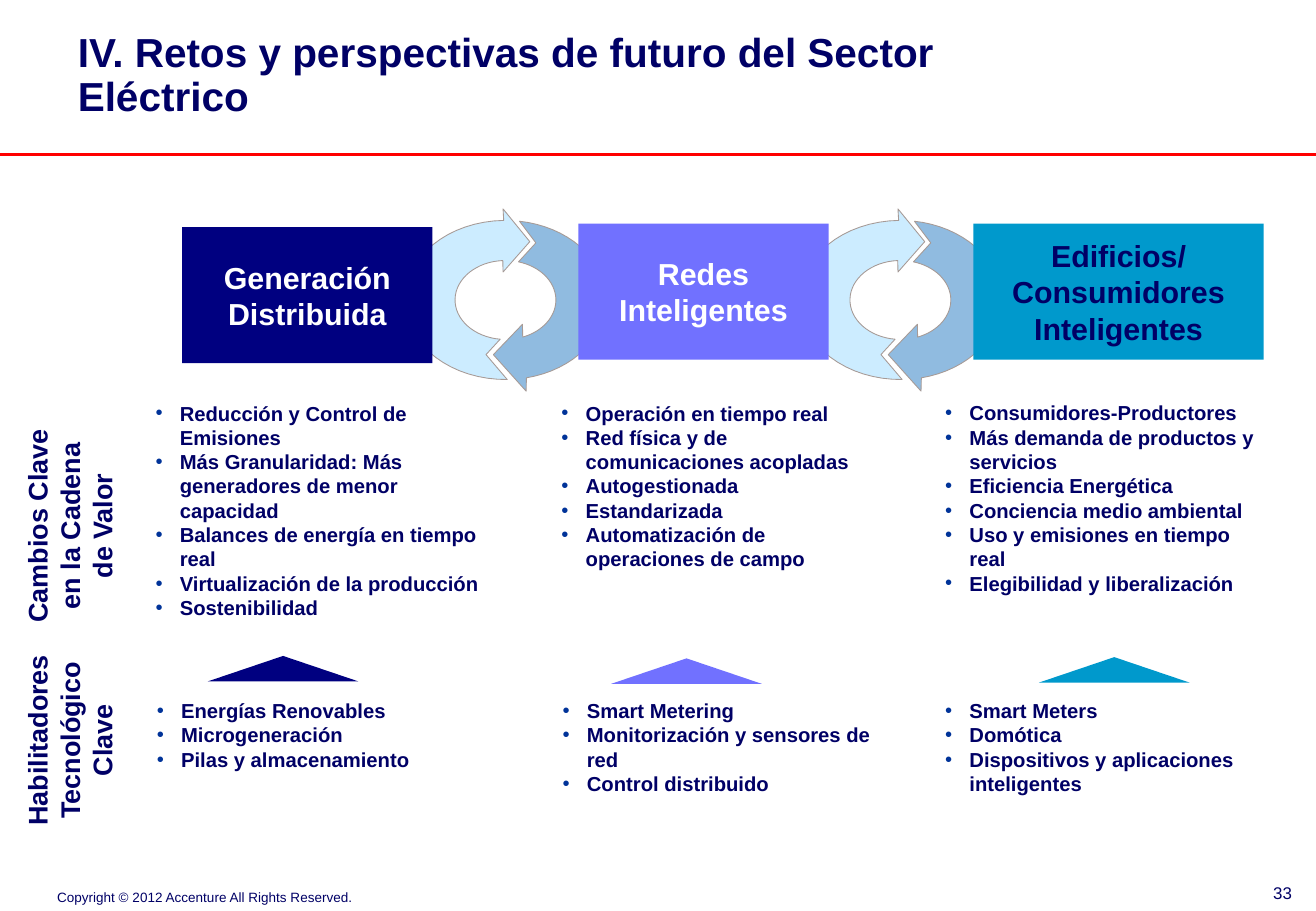
from dataclasses import dataclass
from math import cos, radians, sin

from lxml.etree import SubElement
from pptx import Presentation
from pptx.dml.color import RGBColor
from pptx.enum.shapes import MSO_CONNECTOR, MSO_SHAPE
from pptx.enum.text import MSO_ANCHOR, MSO_AUTO_SIZE, PP_ALIGN
from pptx.oxml.ns import qn
from pptx.util import Emu, Pt

PX = 9144
NAVY = "000066"
WHITE = "FFFFFF"
CYCLE_PITCH = 325
CENTER = (416, 247)
OUTER = (83, 65.5)
INNER = (41.5, 32.5)

Box = tuple[int, int, int, int]
Point = tuple[float, float]


@dataclass
class Stage:
    heading: str
    heading_box: Box
    fill: str
    ink: str
    changes: list[str]
    changes_box: Box
    pointer_at: tuple[int, int]
    enablers: list[str]
    enablers_box: Box


@dataclass
class RowLabel:
    text: str
    box: Box


STAGES = [
    Stage("Generación\nDistribuida", (150, 187, 206, 112), "000080", WHITE,
          ["Reducción y Control de Emisiones",
           "Más Granularidad: Más generadores de menor capacidad",
           "Balances de energía en tiempo real",
           "Virtualización de la producción",
           "Sostenibilidad"],
          (118, 325, 305, 212), (171, 540),
          ["Energías Renovables", "Microgeneración", "Pilas y almacenamiento"],
          (119, 570, 294, 111)),
    Stage("Redes Inteligentes", (476, 184, 206, 112), "7171FF", WHITE,
          ["Operación en tiempo real",
           "Red física y de comunicaciones acopladas",
           "Autogestionada",
           "Estandarizada",
           "Automatización de operaciones de campo"],
          (452, 325, 276, 192), (503, 542),
          ["Smart Metering", "Monitorización y sensores de red", "Control distribuido"],
          (453, 570, 276, 131)),
    Stage("Edificios/ Consumidores Inteligentes", (801, 184, 239, 112), "0099CC", NAVY,
          ["Consumidores-Productores",
           "Más demanda de productos y servicios",
           "Eficiencia Energética",
           "Conciencia medio ambiental",
           "Uso y emisiones en tiempo real",
           "Elegibilidad y liberalización"],
          (768, 325, 276, 172), (855, 541),
          ["Smart Meters", "Domótica", "Dispositivos y aplicaciones inteligentes"],
          (768, 570, 276, 111)),
]
ROW_LABELS = [
    RowLabel("Cambios Clave\nen la Cadena\nde Valor", (15, 340, 101, 178)),
    RowLabel("Habilitadores\nTecnológico Clave", (15, 528, 101, 155)),
]


def px(length: float) -> Emu:
    return Emu(round(length * PX))


def color(value: str) -> RGBColor:
    return RGBColor.from_string(value)


def place(shape, box: Box) -> None:
    shape.left, shape.top, shape.width, shape.height = map(px, box)


def write(shape, text: str, size: int, ink: str = NAVY, bold: bool = True,
          align=PP_ALIGN.LEFT, anchor=MSO_ANCHOR.TOP, insets: tuple[int, int] = (10, 5)):
    frame = shape.text_frame
    frame.text = text
    frame.word_wrap = True
    frame.auto_size = MSO_AUTO_SIZE.NONE
    frame.vertical_anchor = anchor
    frame.margin_left = frame.margin_right = px(insets[0])
    frame.margin_top = frame.margin_bottom = px(insets[1])
    for paragraph in frame.paragraphs:
        paragraph.alignment = align
        paragraph.space_before = Pt(0)
        for run in paragraph.runs:
            run.font.name = "Arial"
            run.font.size = Pt(size)
            run.font.bold = bold
            run.font.color.rgb = color(ink)
    return frame


def add_text(slide, box: Box, text: str, size: int, **style):
    return write(slide.shapes.add_textbox(*map(px, box)), text, size, **style)


def write_list(shape, box: Box, items: list[str]) -> None:
    place(shape, box)
    for paragraph in write(shape, "\n".join(items), 12).paragraphs:
        properties = paragraph._p.get_or_add_pPr()
        properties.set("marL", str(px(20)))
        properties.set("indent", str(px(-20)))
        bullet_color = SubElement(properties, qn("a:buClr"))
        SubElement(bullet_color, qn("a:srgbClr")).set("val", "003399")
        SubElement(properties, qn("a:buFont")).set("typeface", "Arial")
        SubElement(properties, qn("a:buChar")).set("char", "•")


def paint(shape, fill: str, line: str | None = None) -> None:
    shape.shadow.inherit = False
    shape.fill.solid()
    shape.fill.fore_color.rgb = color(fill)
    if line:
        shape.line.color.rgb = color(line)
        shape.line.width = Pt(0.5)
    else:
        shape.line.fill.background()


def arc(radii: Point, start: int, end: int, steps: int = 32) -> list[Point]:
    angles = [radians(start + (end - start) * i / steps) for i in range(steps + 1)]
    return [(CENTER[0] + radii[0] * cos(a), CENTER[1] + radii[1] * sin(a)) for a in angles]


def add_outline(slide, points: list[Point], shift: int, fill: str) -> None:
    corners = [(px(x + shift), px(y)) for x, y in points]
    builder = slide.shapes.build_freeform(*corners[0], scale=1.0)
    builder.add_line_segments(corners[1:], close=True)
    paint(builder.convert_to_shape(), fill, "A69A96")


def add_cycle(slide, shift: int) -> None:
    descending = [*arc(OUTER, -82, 78), (433, 322), (406, 292), (430, 267),
                  *arc(INNER, 70, -75), (441, 200)]
    ascending = [*arc(OUTER, 269, 89), (400, 292), *arc(INNER, 96, 267),
                 (414, 224), (436, 199), (414, 172)]
    add_outline(slide, descending, shift, "90BBE0")
    add_outline(slide, ascending, shift, "CCECFF")


def add_rule(slide) -> None:
    rule = slide.shapes.add_connector(MSO_CONNECTOR.STRAIGHT, px(0), px(127), px(1083), px(127))
    rule.line.color.rgb = color("FF0000")
    rule.line.width = Pt(2)
    SubElement(rule._element.spPr, qn("a:effectLst"))


def add_stage(slide, stage: Stage, placeholders) -> None:
    heading = slide.shapes.add_shape(MSO_SHAPE.RECTANGLE, *map(px, stage.heading_box))
    paint(heading, stage.fill)
    write(heading, stage.heading, 18, stage.ink, align=PP_ALIGN.CENTER, anchor=MSO_ANCHOR.MIDDLE)
    pointer = slide.shapes.add_shape(
        MSO_SHAPE.ISOSCELES_TRIANGLE, *map(px, (*stage.pointer_at, 124, 21)))
    paint(pointer, stage.fill)
    for items, box in ((stage.changes, stage.changes_box), (stage.enablers, stage.enablers_box)):
        body = next(placeholders, None) or slide.shapes.add_textbox(*map(px, box))
        write_list(body, box, items)


def main() -> None:
    presentation = Presentation()
    presentation.slide_width, presentation.slide_height = px(1083), px(750)
    slide = presentation.slides.add_slide(presentation.slide_layouts[4])

    title = slide.shapes.title
    place(title, (25, 27, 815, 95))
    heading = write(title, "IV. Retos y perspectivas de futuro del Sector Eléctrico", 24,
                    insets=(0, 0))
    heading.margin_left = px(39)
    heading.paragraphs[0].line_spacing = 0.9

    add_rule(slide)
    for index in range(len(STAGES) - 1):
        add_cycle(slide, index * CYCLE_PITCH)
    bodies = iter([p for p in slide.placeholders if p.placeholder_format.idx in range(1, 5)])
    for stage in STAGES:
        add_stage(slide, stage, bodies)
    for label in ROW_LABELS:
        frame = add_text(slide, label.box, label.text, 16, align=PP_ALIGN.CENTER,
                         insets=(2, 2))
        frame.margin_top = px(10)
        frame.margin_left = px(2)
        frame._txBody.bodyPr.set("vert", "vert270")

    copyright_line = add_text(
        slide, (47, 727, 250, 18), "Copyright © 2012 Accenture All Rights Reserved.", 8,
        bold=False, anchor=MSO_ANCHOR.BOTTOM, insets=(0, 0))
    copyright_line.word_wrap = False
    add_text(slide, (994, 722, 79, 18), "33", 10, bold=False, align=PP_ALIGN.RIGHT)
    presentation.save("out.pptx")


if __name__ == "__main__":
    main()
